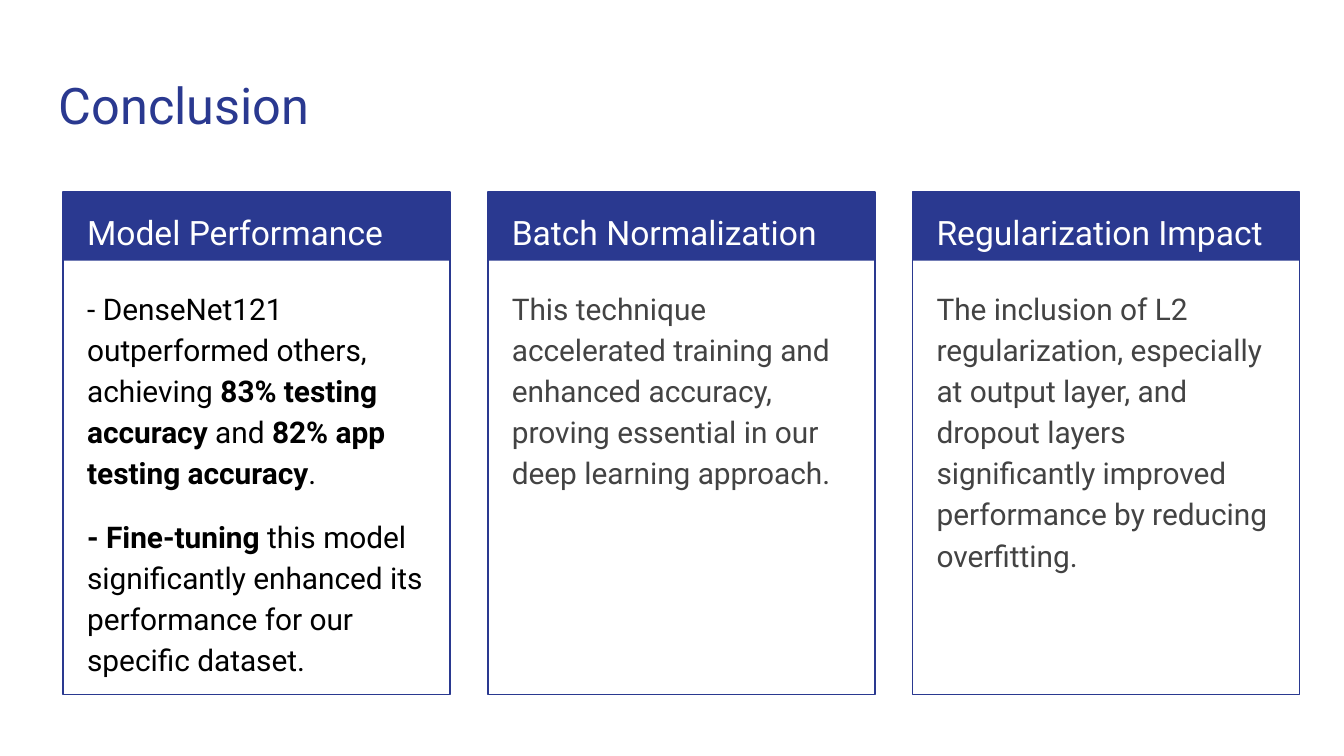
from dataclasses import dataclass

from pptx import Presentation
from pptx.dml.color import RGBColor
from pptx.enum.shapes import MSO_SHAPE
from pptx.enum.text import MSO_ANCHOR, PP_ALIGN
from pptx.util import Inches, Pt

RECTANGLE = MSO_SHAPE.RECTANGLE
TOP, MIDDLE = MSO_ANCHOR.TOP, MSO_ANCHOR.MIDDLE
LEFT = PP_ALIGN.LEFT


@dataclass(frozen=True)
class Theme:
    font: str = "Roboto"
    navy: str = "2A3990"
    white: str = "FFFFFF"
    black: str = "000000"
    gray: str = "434343"
    title_size: int = 27
    heading_size: int = 18
    body_size: int = 16
    border: float = 0.75
    spacing: float = 1.15
    gap: int = 12


def apply_format(target, values):
    for attribute, value in values.items():
        setattr(target, attribute, value)


class SlideBuilder:
    def __init__(self, slide, theme):
        self.slide = slide
        self.theme = theme

    def rectangle(self, area, fill=None, line=None):
        panel = self.slide.shapes.add_shape(RECTANGLE, *map(Inches, area))
        panel.shadow.inherit = False
        if fill:
            panel.fill.solid()
            panel.fill.fore_color.rgb = RGBColor.from_string(fill)
        else:
            panel.fill.background()
        if line:
            panel.line.color.rgb = RGBColor.from_string(line)
            panel.line.width = Pt(self.theme.border)
        else:
            panel.line.fill.background()

    def text(self, area, paragraphs, size, color, anchor=TOP, **paragraph_format):
        frame = self.slide.shapes.add_textbox(*map(Inches, area)).text_frame
        margins = dict.fromkeys(
            ("margin_left", "margin_top", "margin_right", "margin_bottom"), Inches(0.1))
        apply_format(frame, {"word_wrap": True, "vertical_anchor": anchor, **margins})
        for index, runs in enumerate(paragraphs):
            paragraph = frame.add_paragraph() if index else frame.paragraphs[0]
            apply_format(paragraph, {"alignment": LEFT, **paragraph_format})
            if index:
                paragraph.space_before = Pt(self.theme.gap)
            for words, bold in runs:
                run = paragraph.add_run()
                run.text = words
                apply_format(run.font, {
                    "name": self.theme.font, "size": Pt(size), "bold": bold})
                run.font.color.rgb = RGBColor.from_string(color)

    def title(self, words):
        self.text((0.34, 0.45, 9.32, 0.66), [[(words, False)]],
                  self.theme.title_size, self.theme.navy, MIDDLE)

    def card(self, left, heading, findings, color):
        theme = self.theme
        top, width = 1.43, 2.88
        self.rectangle((left, top, width, 0.51), fill=theme.navy)
        self.rectangle((left, top, width, 3.74), line=theme.navy)
        self.text((left + 0.08, top, 2.73, 0.5), [[(heading, False)]],
                  theme.heading_size, theme.white, line_spacing=theme.spacing)
        self.text((left + 0.08, 2.02, 2.71, 3.06), findings, theme.body_size, color,
                  line_spacing=theme.spacing)


def main():
    theme = Theme()
    deck = Presentation()
    slide_width = Inches(10)
    apply_format(deck, {"slide_width": slide_width, "slide_height": slide_width * 9 // 16})
    builder = SlideBuilder(deck.slides.add_slide(deck.slide_layouts[6]), theme)
    builder.title("Conclusion")

    cards = [
        ("Model Performance", [
            [("- DenseNet121 outperformed others, achieving ", False),
             ("83% testing accuracy", True),
             (" and ", False),
             ("82% app testing accuracy", True),
             (".", False)],
            [("- Fine-tuning", True),
             (" this model significantly enhanced its performance for our "
              "specific dataset.", False)],
        ], theme.black),
        ("Batch Normalization", [
            [("This technique accelerated training and enhanced accuracy, proving "
              "essential in our deep learning approach.", False)],
        ], theme.gray),
        ("Regularization Impact", [
            [("The inclusion of L2 regularization, especially at output layer, and "
              "dropout layers significantly improved performance by reducing "
              "overfitting.", False)],
        ], theme.gray),
    ]
    first_left, pitch = 0.47, 3.16
    for column, (heading, findings, color) in enumerate(cards):
        builder.card(first_left + column * pitch, heading, findings, color)

    deck.save("out.pptx")


if __name__ == "__main__":
    main()
